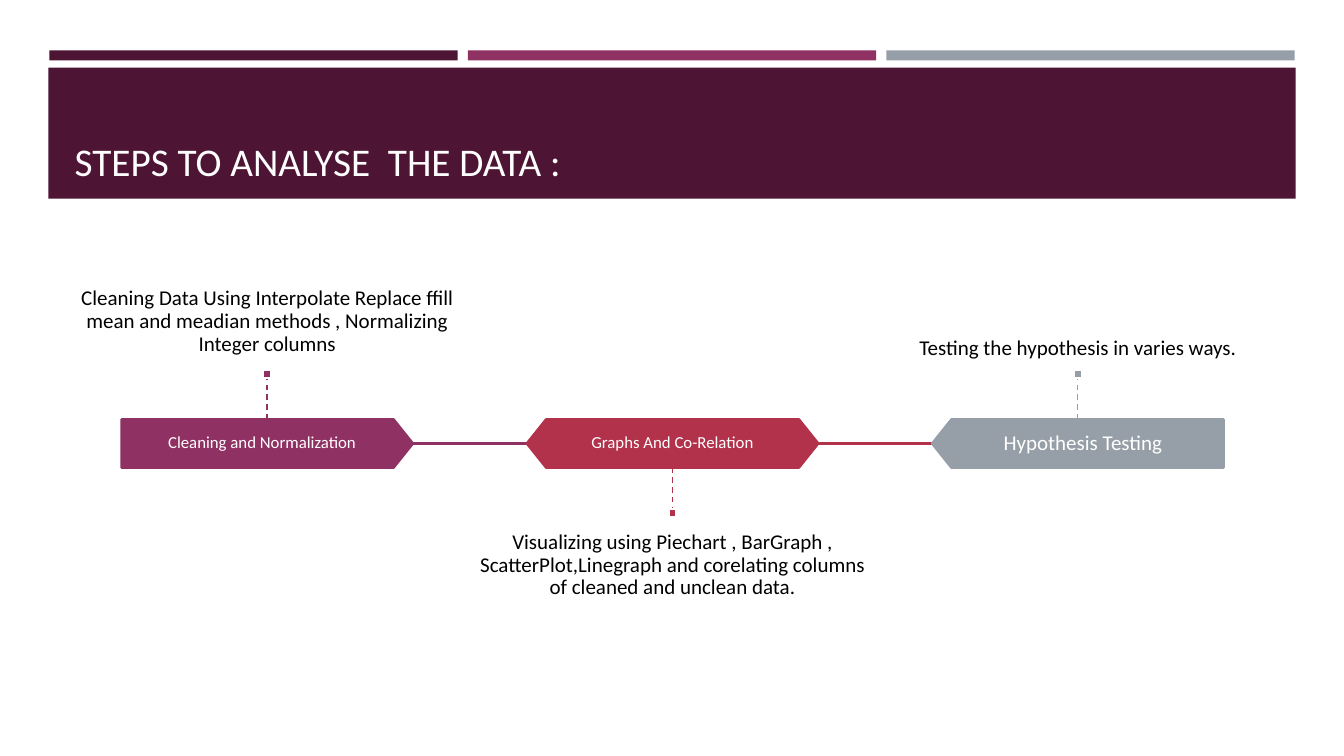
from pptx import Presentation
from pptx.dml.color import RGBColor
from pptx.enum.dml import MSO_LINE
from pptx.enum.shapes import MSO_CONNECTOR, MSO_SHAPE
from pptx.enum.text import MSO_ANCHOR, MSO_AUTO_SIZE, PP_ALIGN
from pptx.oxml.ns import qn
from pptx.util import Inches, Pt
from lxml import etree

RECT = MSO_SHAPE.RECTANGLE
PENTA = MSO_SHAPE.PENTAGON
HEXA = MSO_SHAPE.HEXAGON
LINE = MSO_CONNECTOR.STRAIGHT
DASH = MSO_LINE.DASH
TOP, MID, LOW = MSO_ANCHOR.TOP, MSO_ANCHOR.MIDDLE, MSO_ANCHOR.BOTTOM
CENTER = PP_ALIGN.CENTER
FIXED = MSO_AUTO_SIZE.NONE

FONT = "Calibri"
COLORS = {
    "plum": "4D1434",
    "berry": "903163",
    "red": "B2324B",
    "gray": "969FA7",
    "title": "FFFEFF",
    "white": "FFFFFF",
    "black": "000000",
}

MIDDLE, PITCH = 6.67, 4.02
STEP_TOP, STEP_W, STEP_H = 4.16, 2.89, 0.48
AXIS = STEP_TOP + STEP_H / 2
LEAD, DOT = 0.41, 0.08

STEPS = [
    (PENTA, 0, "berry", "Cleaning and Normalization", 12, (-1.45, 2.8), True,
     "Cleaning Data Using Interpolate Replace ffill mean and meadian methods , "
     "Normalizing Integer columns"),
    (HEXA, 0, "red", "Graphs And Co-Relation", 12, (-1.14, 2.28), False,
     "Visualizing using Piechart , BarGraph , ScatterPlot,Linegraph and "
     "corelating columns of cleaned and unclean data."),
    (PENTA, 180, "gray", "Hypothesis Testing", 15, (-1.35, 2.8), True,
     "Testing the hypothesis in varies ways."),
]


def color(name):
    return RGBColor.from_string(COLORS[name])


def add_block(slide, kind, box, fill, edge=None):
    block = slide.shapes.add_shape(kind, *map(Inches, box))
    block.shadow.inherit = False
    block.fill.solid()
    block.fill.fore_color.rgb = color(fill)
    if edge:
        block.line.color.rgb = color(edge)
        block.line.width = Pt(1.75)
    else:
        block.line.fill.background()
    return block


def add_line(slide, start, end, tint, width, dash=None):
    line = slide.shapes.add_connector(LINE, *map(Inches, start + end))
    line.line.color.rgb = color(tint)
    line.line.width = Pt(width)
    if dash:
        line.line.dash_style = dash
    etree.SubElement(line.element.spPr, qn("a:effectLst"))
    return line


def style(para, size, tint):
    para.font.name = FONT
    para.font.size = Pt(size)
    para.font.color.rgb = color(tint)


def add_text(slide, box, text, size, tint, anchor, pad_x, pad_y):
    frame = slide.shapes.add_textbox(*map(Inches, box)).text_frame
    frame.word_wrap = True
    frame.vertical_anchor = anchor
    frame.margin_left = frame.margin_right = Inches(pad_x)
    frame.margin_top = frame.margin_bottom = Inches(pad_y)
    para = frame.paragraphs[0]
    para.text = text
    para.alignment = CENTER
    para.line_spacing = 0.9
    style(para, size, tint)


def add_header(slide):
    for i, tint in enumerate(("plum", "berry", "gray")):
        add_block(slide, RECT, (0.49 + 4.15 * i, 0.5, 4.05, 0.1), tint)
    add_block(slide, RECT, (0.48, 0.67, 12.37, 1.3), "plum")
    title = slide.shapes.title
    title.left, title.top = Inches(0.64), Inches(0.77)
    title.width, title.height = Inches(12.06), Inches(1.11)
    frame = title.text_frame
    frame.text = "STEPS TO ANALYSE  THE DATA :"
    frame.auto_size = FIXED
    frame.vertical_anchor = LOW
    para = frame.paragraphs[0]
    para.alignment = PP_ALIGN.LEFT
    style(para, 28, "title")
    title.element.getparent().append(title.element)


def add_note(slide, mid, tint, above, note):
    if above:
        edge, far = STEP_TOP, STEP_TOP - LEAD
        dot_top, note_top, anchor, site = far - DOT, 2.39, LOW, 2
    else:
        edge, far = STEP_TOP + STEP_H, STEP_TOP + STEP_H + LEAD
        dot_top, note_top, anchor, site = far, 5.12, TOP, 0
    add_text(slide, (mid - PITCH / 2, note_top, PITCH, 1.29),
             note, 15, "black", anchor, 0, 0.15)
    lead = add_line(slide, (mid, edge), (mid, far), tint, 1, DASH)
    dot = add_block(slide, RECT, (mid - DOT / 2, dot_top, DOT, DOT),
                    tint, "white")
    lead.end_connect(dot, site)


def add_step(slide, mid, kind, turn, tint, name, size, span, above, note):
    box = (mid - STEP_W / 2, STEP_TOP, STEP_W, STEP_H)
    step = add_block(slide, kind, box, tint, tint)
    step.adjustments[0] = 0.4
    step.rotation = turn
    shift, width = span
    add_text(slide, (mid + shift, STEP_TOP, width, STEP_H),
             name, size, "white", MID, 0.1, 0.1)
    add_note(slide, mid, tint, above, note)


def main():
    deck = Presentation()
    deck.slide_width, deck.slide_height = Inches(13.33), Inches(7.5)
    slide = deck.slides.add_slide(deck.slide_layouts[5])
    add_header(slide)
    for i, step in enumerate(STEPS):
        mid = MIDDLE + (i - 1) * PITCH
        add_step(slide, mid, *step)
        if i < len(STEPS) - 1:
            add_line(slide, (mid + STEP_W / 2, AXIS),
                     (mid + PITCH - STEP_W / 2, AXIS), step[2], 1.75)
    deck.save("out.pptx")


if __name__ == "__main__":
    main()
